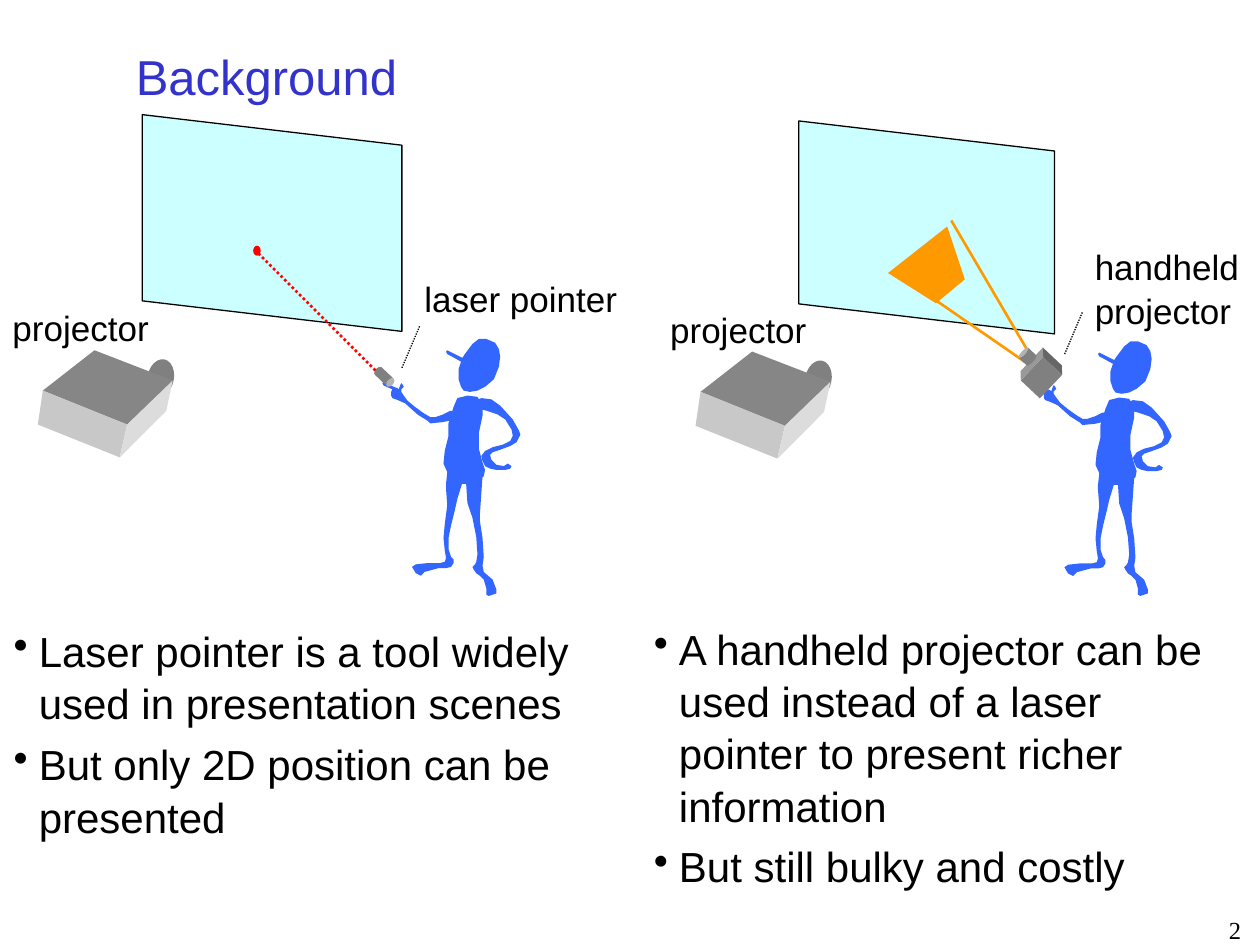
from math import cos, radians, sin

from lxml import etree
from pptx import Presentation
from pptx.dml.color import RGBColor
from pptx.enum.dml import MSO_LINE
from pptx.enum.shapes import MSO_CONNECTOR, MSO_SHAPE
from pptx.enum.text import MSO_ANCHOR, PP_ALIGN
from pptx.oxml.ns import qn
from pptx.util import Inches, Pt

STRAIGHT = MSO_CONNECTOR.STRAIGHT
DOTTED = MSO_LINE.ROUND_DOT
PARALLELOGRAM, CAN = MSO_SHAPE.PARALLELOGRAM, MSO_SHAPE.CAN
CUBE, OVAL = MSO_SHAPE.CUBE, MSO_SHAPE.OVAL
TOP, MIDDLE = MSO_ANCHOR.TOP, MSO_ANCHOR.MIDDLE
LEFT, RIGHT = PP_ALIGN.LEFT, PP_ALIGN.RIGHT

BLACK = RGBColor(0, 0, 0)
TITLE_BLUE = RGBColor(0x33, 0x33, 0xCC)
PERSON_BLUE = RGBColor(0x33, 0x66, 0xFF)
SCREEN = RGBColor(0xCC, 0xFF, 0xFF)
RED = RGBColor(0xFF, 0, 0)
ORANGE = RGBColor(0xFF, 0x99, 0)
GRAY = RGBColor(0x80, 0x80, 0x80)
CASE_TOP = RGBColor(0x86, 0x86, 0x86)
CASE_FRONT = RGBColor(0xC8, 0xC8, 0xC8)
CASE_SIDE = RGBColor(0xDC, 0xDC, 0xDC)

TITLE = "Background"
PAGE = "2"
LEFT_POINTS = [
    "Laser pointer is a tool widely used in presentation scenes",
    "But only 2D position can be presented",
]
RIGHT_POINTS = [
    "A handheld projector can be used instead of a laser pointer to present richer information",
    "But still bulky and costly",
]
LABELS = [
    (["projector"], 0, 2.37, 1.28, 0.43),
    (["laser pointer"], 3.27, 2.14, 1.73, 0.43),
    (["projector"], 5.22, 2.39, 1.28, 0.43),
    (["handheld", "projector"], 8.59, 1.89, 1.35, 0.77),
]

HEAD = [
    (3.69, 2.81), (3.75, 2.73), (3.8, 2.69), (3.86, 2.69), (3.93, 2.72), (3.96, 2.77),
    (3.97, 2.83), (3.96, 2.91), (3.92, 3.01), (3.85, 3.07), (3.79, 3.1), (3.73, 3.11),
    (3.68, 3.1), (3.66, 3.07), (3.64, 3.01), (3.64, 2.93), (3.66, 2.87), (3.55, 2.81),
    (3.54, 2.79), (3.55, 2.78), (3.67, 2.84),
]
RAISED_ARM = [
    (3.59, 3.26), (3.65, 3.24), (3.66, 3.23), (3.69, 3.24), (3.71, 3.26), (3.7, 3.28),
    (3.67, 3.31), (3.58, 3.33), (3.49, 3.35), (3.39, 3.36), (3.37, 3.34), (3.29, 3.29),
    (3.19, 3.2), (3.12, 3.17), (3.09, 3.16), (3.08, 3.14), (3.08, 3.11), (3.09, 3.09),
    (3.02, 3.06), (3.01, 3.04), (3.02, 3.03), (3.1, 3.07), (3.13, 3.08), (3.14, 3.09),
    (3.15, 3.06), (3.16, 3.04), (3.17, 3.05), (3.18, 3.07), (3.16, 3.09), (3.16, 3.11),
    (3.18, 3.14), (3.21, 3.18), (3.27, 3.23), (3.34, 3.28), (3.39, 3.31), (3.43, 3.31),
    (3.49, 3.29), (3.55, 3.26),
]
BENT_ARM = [
    (3.78, 3.18), (3.82, 3.16), (3.9, 3.17), (3.97, 3.22), (4.07, 3.33), (4.12, 3.42),
    (4.13, 3.45), (4.1, 3.51), (4.05, 3.54), (3.97, 3.57), (3.91, 3.59), (3.89, 3.61),
    (3.9, 3.65), (3.94, 3.69), (4, 3.7), (4.03, 3.68), (4.06, 3.7), (4.05, 3.72),
    (4.01, 3.73), (3.94, 3.73), (3.89, 3.72), (3.85, 3.7), (3.83, 3.66), (3.82, 3.62),
    (3.85, 3.58), (3.91, 3.55), (3.99, 3.53), (4.05, 3.5), (4.07, 3.46), (4.06, 3.41),
    (4.01, 3.33), (3.95, 3.29), (3.86, 3.26), (3.78, 3.24), (3.78, 3.2),
]
TORSO = [
    (3.56, 3.36), (3.6, 3.23), (3.63, 3.16), (3.71, 3.14), (3.79, 3.15), (3.83, 3.22),
    (3.83, 3.3), (3.8, 3.44), (3.8, 3.56), (3.83, 3.67), (3.85, 3.73), (3.84, 3.78),
    (3.8, 3.81), (3.75, 3.83), (3.7, 3.84), (3.64, 3.84), (3.57, 3.79), (3.52, 3.68),
    (3.53, 3.58), (3.56, 3.46),
]
RIGHT_LEG = [
    (3.71, 3.73), (3.77, 3.71), (3.81, 3.73), (3.83, 3.78), (3.81, 4.07), (3.81, 4.14),
    (3.83, 4.27), (3.84, 4.42), (3.83, 4.49), (3.84, 4.54), (3.91, 4.6), (3.94, 4.68),
    (3.94, 4.71), (3.88, 4.73), (3.86, 4.72), (3.86, 4.67), (3.84, 4.6), (3.81, 4.57),
    (3.78, 4.55), (3.76, 4.52), (3.75, 4.5), (3.77, 4.48), (3.78, 4.46), (3.79, 4.4),
    (3.78, 4.26), (3.75, 4.11), (3.71, 3.99), (3.7, 3.84),
]
LEFT_LEG = [
    (3.54, 3.84), (3.55, 3.75), (3.6, 3.71), (3.67, 3.72), (3.68, 3.75), (3.67, 3.83),
    (3.63, 3.96), (3.61, 4.05), (3.58, 4.17), (3.56, 4.27), (3.56, 4.36), (3.58, 4.42),
    (3.6, 4.44), (3.6, 4.47), (3.58, 4.5), (3.54, 4.51), (3.48, 4.51), (3.37, 4.54),
    (3.34, 4.57), (3.3, 4.55), (3.27, 4.5), (3.3, 4.48), (3.39, 4.47), (3.49, 4.47),
    (3.53, 4.46), (3.54, 4.43), (3.53, 4.37), (3.52, 4.27), (3.53, 4.16), (3.55, 4.01),
    (3.54, 3.88),
]
PERSON = [(HEAD, 0), (RAISED_ARM, 303.8), (BENT_ARM, 0), (TORSO, 0), (RIGHT_LEG, 0), (LEFT_LEG, 0)]
PROJECTOR = [
    ([(0.34, 3.1), (0.75, 2.78), (1.37, 3.02), (1.01, 3.37)], CASE_TOP),
    ([(0.34, 3.1), (1.01, 3.37), (0.95, 3.63), (0.3, 3.37)], CASE_FRONT),
    ([(1.01, 3.37), (1.37, 3.02), (1.32, 3.26), (0.95, 3.63)], CASE_SIDE),
]
BEAM_SPOT = [(7.09, 2.14), (7.47, 2.38), (7.7, 2.19), (7.56, 1.77)]

prs = Presentation()
prs.slide_width, prs.slide_height = Inches(10), Inches(7.5)
slide = prs.slides.add_slide(prs.slide_layouts[6])
shapes = slide.shapes


def paint(shape, fill, outlined=False):
    shape.shadow.inherit = False
    shape.fill.solid()
    shape.fill.fore_color.rgb = fill
    if outlined:
        shape.line.color.rgb = BLACK
        shape.line.width = Pt(0.75)
    else:
        shape.line.fill.background()


def preset(kind, x, y, w, h, fill, turn=0, adjust=None, outlined=False):
    shape = shapes.add_shape(kind, Inches(x), Inches(y), Inches(w), Inches(h))
    shape.rotation = turn
    if adjust is not None:
        shape.adjustments[0] = adjust
    paint(shape, fill, outlined)


def outline(points, fill, turn=0):
    xs, ys = zip(*points)
    cx, cy = (min(xs) + max(xs)) / 2, (min(ys) + max(ys)) / 2
    c, s = cos(radians(turn)), sin(radians(turn))
    level = [(Inches(cx + (x - cx) * c + (y - cy) * s),
              Inches(cy - (x - cx) * s + (y - cy) * c)) for x, y in points]
    builder = shapes.build_freeform(*level[0])
    builder.add_line_segments(level[1:], close=True)
    shape = builder.convert_to_shape()
    shape.rotation = turn
    paint(shape, fill)


def line(start, end, color, width, dash=None):
    connector = shapes.add_connector(STRAIGHT, *map(Inches, start + end))
    connector.line.color.rgb = color
    connector.line.width = Pt(width)
    if dash is not None:
        connector.line.dash_style = dash
    etree.SubElement(connector._element.spPr, qn("a:effectLst"))


def text(lines, x, y, w, h, size, color=BLACK, font="Arial", align=LEFT,
         anchor=TOP, wrap=True, bullets=False):
    frame = shapes.add_textbox(Inches(x), Inches(y), Inches(w), Inches(h)).text_frame
    frame.word_wrap = wrap
    frame.vertical_anchor = anchor
    frame.text = "\n".join(lines)
    for paragraph in frame.paragraphs:
        paragraph.alignment = align
        paragraph.line_spacing = 1.04
        if bullets:
            paragraph.space_before = Pt(size * 0.2)
            props = paragraph._p.get_or_add_pPr()
            props.set("marL", str(Inches(0.2)))
            props.set("indent", str(-Inches(0.2)))
            etree.SubElement(props, qn("a:buChar")).set("char", "•")
        for run in paragraph.runs:
            run.font.size, run.font.name = Pt(size), font
            run.font.color.rgb = color


def person(x0=3.01, y0=2.69, scale=1):
    for part, turn in PERSON:
        outline([(x0 + (x - 3.01) * scale, y0 + (y - 2.69) * scale) for x, y in part],
                PERSON_BLUE, turn)


def projector(dx=0, dy=0):
    preset(OVAL, 1.17 + dx, 2.85 + dy, 0.21, 0.3, GRAY, 11.3)
    for face, fill in PROJECTOR:
        outline([(x + dx, y + dy) for x, y in face], fill)


text([PAGE], 7.62, 7.2, 2.33, 0.31, 14, font="Times New Roman", align=RIGHT)
text([TITLE], 0.98, 0.32, 8.76, 0.55, 28, TITLE_BLUE, anchor=MIDDLE)
text(LEFT_POINTS, 0.01, 4.9, 4.83, 1.97, 24, bullets=True)
text(RIGHT_POINTS, 5.09, 4.88, 4.82, 1.97, 24, bullets=True)

preset(PARALLELOGRAM, 1.3, 0.74, 1.72, 2.06, SCREEN, 270, 0.141, True)
person()
projector()
preset(CAN, 3.01, 2.9, 0.08, 0.18, GRAY, 133.4, 0.597)
line((2.98, 2.94), (2.02, 1.98), RED, 1.5, DOTTED)
preset(OVAL, 2.01, 1.95, 0.06, 0.08, RED)
line((3.33, 2.59), (3.19, 2.92), BLACK, 0.75, DOTTED)

preset(PARALLELOGRAM, 6.51, 0.79, 1.69, 2.03, SCREEN, 270, 0.141, True)
person(8.19, 2.71, 0.99)
projector(5.22, 0.01)
outline(BEAM_SPOT, ORANGE, 321.9)
line((8.16, 2.79), (7.55, 1.75), ORANGE, 1.5)
line((8.16, 2.89), (7.09, 2.15), ORANGE, 1.5)
preset(CUBE, 8.11, 2.83, 0.31, 0.26, GRAY, 313.4, 0.201)
preset(CAN, 8.1, 2.77, 0.11, 0.12, GRAY, 313.4, 0.282)
line((8.59, 2.48), (8.45, 2.81), BLACK, 0.75, DOTTED)

for words, x, y, w, h in LABELS:
    text(words, x, y, w, h, 20, wrap=False)

prs.save("out.pptx")
